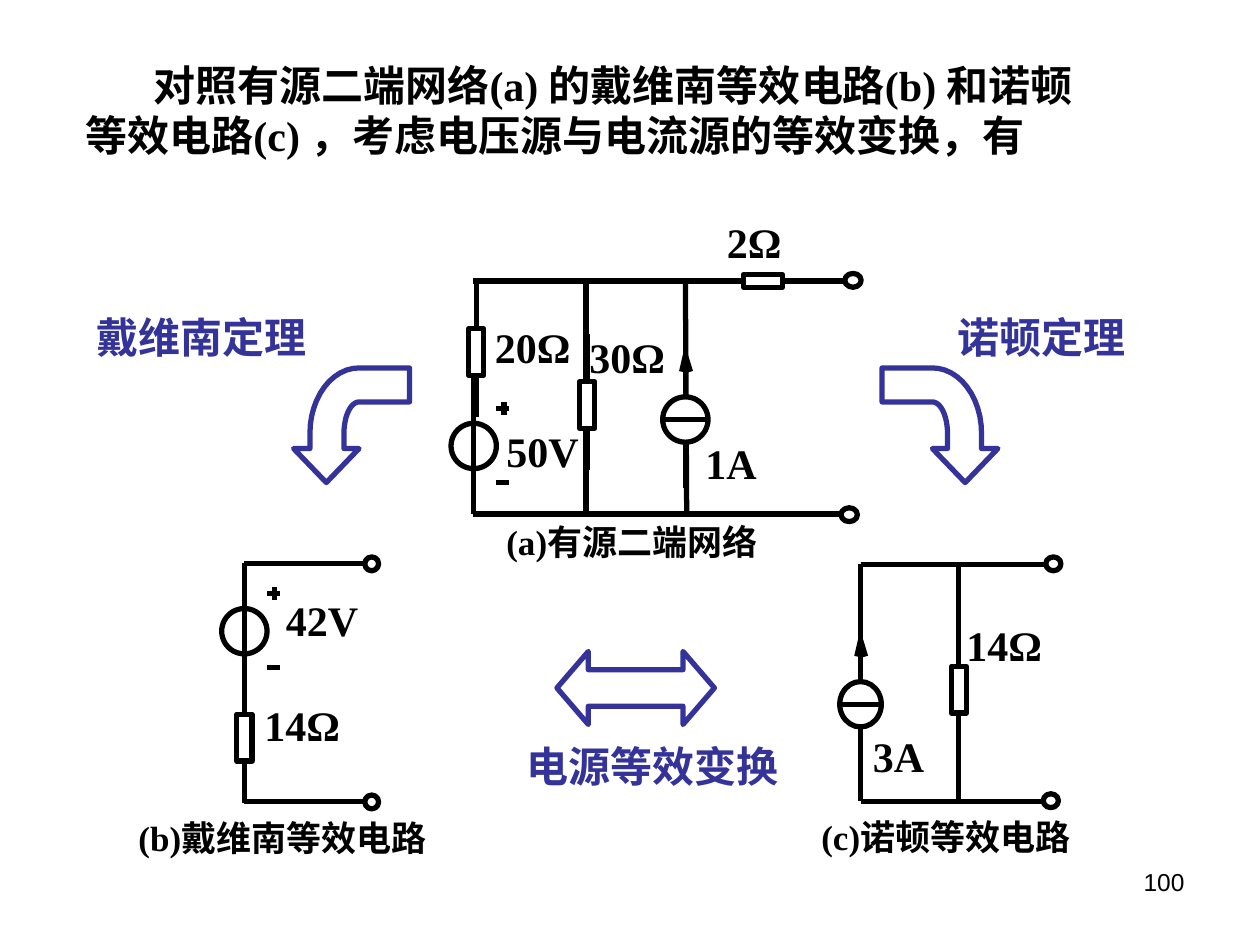
import math
import pptx
import pptx.util
import pptx.dml.color
import pptx.enum.shapes
import pptx.enum.text
import pptx.oxml.ns
from lxml import etree

Inches = pptx.util.Inches
SHAPE = pptx.enum.shapes.MSO_SHAPE
ALIGN = pptx.enum.text.PP_ALIGN
COLORS = {"ink": "000000", "paper": "FFFFFF", "blue": "333399"}
SERIF, SANS = "Times New Roman", "Arial"
PEN = 3

deck = pptx.Presentation()
deck.slide_width, deck.slide_height = Inches(10), Inches(7.5)
slide = deck.slides.add_slide(deck.slide_layouts[6])
parts = slide.shapes


def tint(name):
    return pptx.dml.color.RGBColor.from_string(COLORS[name])


def text(runs, x, y, w, h, size=24, font=SERIF, color="ink", bold=True,
         align=ALIGN.LEFT, inset=True, indent=0):
    """Write a string, or a list of (string, font) pairs, in a box."""
    frame = parts.add_textbox(Inches(x), Inches(y), Inches(w), Inches(h)).text_frame
    frame.word_wrap = True
    if not inset:
        frame.margin_left = frame.margin_right = 0
        frame.margin_top = frame.margin_bottom = 0
    para = frame.paragraphs[0]
    para.alignment = align
    if indent:
        para._p.get_or_add_pPr().set("indent", str(Inches(indent)))
    for words, face in [(runs, font)] if isinstance(runs, str) else runs:
        run = para.add_run()
        run.text = words
        run.font.name, run.font.size = face, pptx.util.Pt(size)
        run.font.bold = bold
        run.font.color.rgb = tint(color)


def style(shape, fill, line):
    shape.shadow.inherit = False
    if fill:
        shape.fill.solid()
        shape.fill.fore_color.rgb = tint(fill)
    else:
        shape.fill.background()
    shape.line.color.rgb = tint(line)
    shape.line.width = pptx.util.Pt(PEN)


def body(kind, x, y, w, h, fill="paper", line="ink"):
    shape = parts.add_shape(kind, Inches(x), Inches(y), Inches(w), Inches(h))
    style(shape, fill, line)
    return shape


def wire(x1, y1, x2, y2):
    line = parts.add_connector(pptx.enum.shapes.MSO_CONNECTOR.STRAIGHT,
                               Inches(x1), Inches(y1), Inches(x2), Inches(y2))
    line.line.color.rgb = tint("ink")
    line.line.width = pptx.util.Pt(PEN)
    etree.SubElement(line._element.spPr, pptx.oxml.ns.qn("a:effectLst"))


# Circuit symbols: x is the axis, y the top of the lead
LEAD = 1.08


def resist(x, y):
    wire(x, y, x, y + LEAD)
    body(SHAPE.RECTANGLE, x - 0.06, y + 0.38, 0.12, 0.37)


def volt(x, y):
    body(SHAPE.OVAL, x - 0.18, y + 0.36, 0.36, 0.36)
    wire(x, y, x, y + LEAD)
    for drop in (0.24, 0.83):
        wire(x + 0.18, y + drop, x + 0.28, y + drop)
    wire(x + 0.24, y + 0.19, x + 0.24, y + 0.29)


def amp(x, y, wide=0.36):
    wire(x, y, x, y + LEAD)
    body(SHAPE.OVAL, x - wide / 2, y + 0.36, wide, 0.36)
    wire(x - wide / 2, y + 0.54, x + wide / 2, y + 0.54)
    for dx, drop in ((-0.03, 0.16), (0.04, 0.16), (0, 0.29)):
        wire(x, y + 0.03, x + dx, y + drop)


def port(x, y, wide=0.12):
    body(SHAPE.OVAL, x - wide / 2, y - 0.05, wide, 0.11)


def label(words, x, y, w=0.83):
    text(words, x, y, w, 0.5)


# The three circuits: (x, y) is the top left corner of the wiring
def network(x, y):
    low = y + 1.85
    wire(x + 0.9, y, x + 0.9, low)
    wire(x + 1.69, y, x + 1.7, low)
    volt(x + 0.01, y + 0.77)
    amp(x + 1.69, y + 0.56)
    resist(x + 0.91, y + 0.42)
    resist(x + 0.03, y)
    for rail in (y, low):
        wire(x, rail, x + 3.01, rail)
    wire(x + 1.82, y, x + 2.72, y)
    body(SHAPE.RECTANGLE, x + 2.15, y - 0.05, 0.31, 0.1)
    port(x + 3.02, y - 0.01, 0.13)
    port(x + 2.99, low, 0.13)
    for words, dx, dy in (("2Ω", 1.92, -0.56), ("30Ω", 0.83, 0.35),
                          ("20Ω", 0.08, 0.27), ("50V", 0.17, 1.1),
                          ("1A", 1.75, 1.19)):
        label(words, x + dx, y + dy)
    text([("(a)", SERIF), ("有源二端网络", SANS)], x + 0.17, low, 3.08, 0.43, size=20)


def series(x, y):
    low = y + 1.89
    label("42V", x + 0.23, y + 0.2, 0.92)
    label("14Ω", x + 0.06, y + 1.03, 0.92)
    volt(x, y)
    resist(x, y + 0.82)
    for rail in (y, low):
        wire(x, rail, x + 0.96, rail)
        port(x + 1.01, rail, 0.11)
    text("(b)戴维南等效电路", x - 0.94, y + 1.96, 3.42, 0.43, size=20)


def shunt(x, y):
    low = y + 1.88
    label("3A", x, y + 1.27, 0.92)
    for post in (x, x + 0.78):
        wire(post, y, post, low)
    amp(x, y + 0.57, 0.33)
    resist(x + 0.78, y + 0.43)
    for rail, end in ((y, 1.53), (low, 1.51)):
        wire(x, rail, x + 1.52, rail)
        port(x + end, rail - 0.01)
    text("14Ω", x + 0.84, y + 0.44, 0.67, 0.4, inset=False)
    text("(c)诺顿等效电路", x - 0.41, y + 1.94, 2.75, 0.43, size=20)


# Bent arrow in a square box, turning down to the right or left
def bend(x, y, side=0.92, left=False):
    def arc(wide, high):
        turns = [math.pi / 2 * step / 12 for step in range(13)]
        return [(0.4 + wide * math.sin(a), 0.52 - high * math.cos(a)) for a in turns]

    outer, inner = arc(0.39, 0.52), arc(0.12, 0.25)
    points = [(0, 0), *outer, (0.79, 0.64), (side, 0.64), (0.66, 0.91),
              (0.4, 0.64), (0.52, 0.64), *reversed(inner), (0, 0.27)]
    spots = [(Inches(x + (side - dx if left else dx)), Inches(y + dy))
             for dx, dy in points]
    path = parts.build_freeform(*spots[0])
    path.add_line_segments(spots[1:], close=True)
    style(path.convert_to_shape(), None, "blue")


# Blue arrows and the theorem each one stands for
def links(x, y):
    bend(x + 6.33, y + 0.5)
    bend(x + 1.66, y + 0.5, left=True)
    swap = body(SHAPE.LEFT_RIGHT_ARROW, x + 3.75, y + 2.75, 1.25, 0.58, None, "blue")
    swap.adjustments[0], swap.adjustments[1] = 0.5, 0.43
    for words, dx, dy, w in (("诺顿定理", 6.83, 0, 1.75), ("戴维南定理", 0, 0, 2.08),
                             ("电源等效变换", 3.41, 3.41, 2.25)):
        text(words, x + dx, y + dy, w, 0.5, font=SANS, color="blue")


def intro(x, y):
    text([("对照有源二端网络", SANS),
          ("(a) 的戴维南等效电路(b) 和诺顿等效电路(c) ，考虑电压源与电流源的等效变换，有", SERIF)],
         x, y, 8.25, 0.9, indent=0.54)


text("100", 7.17, 6.83, 2.33, 0.52, size=14, font=SANS, bold=False, align=ALIGN.RIGHT)
network(3.75, 2.23)
series(1.94, 4.47)
shunt(6.83, 4.48)
intro(0.58, 0.42)
links(0.67, 2.42)
deck.save("out.pptx")
